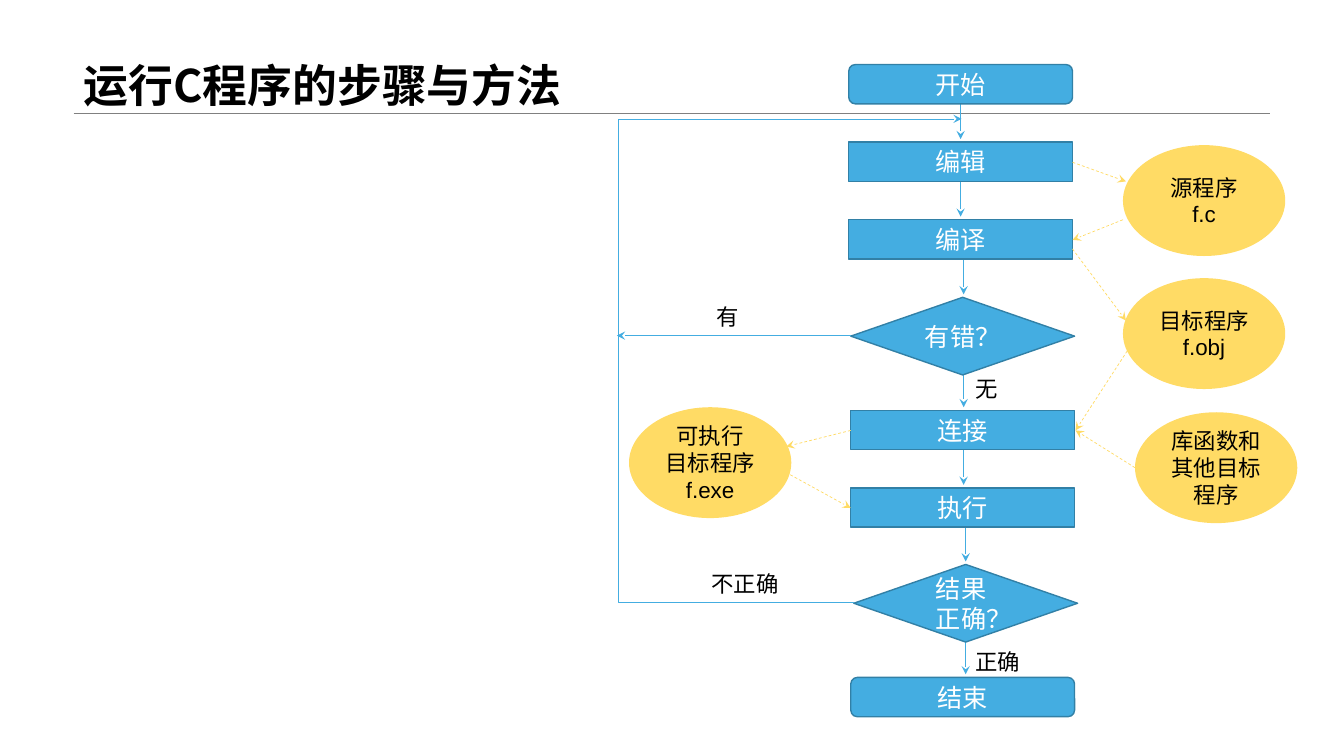
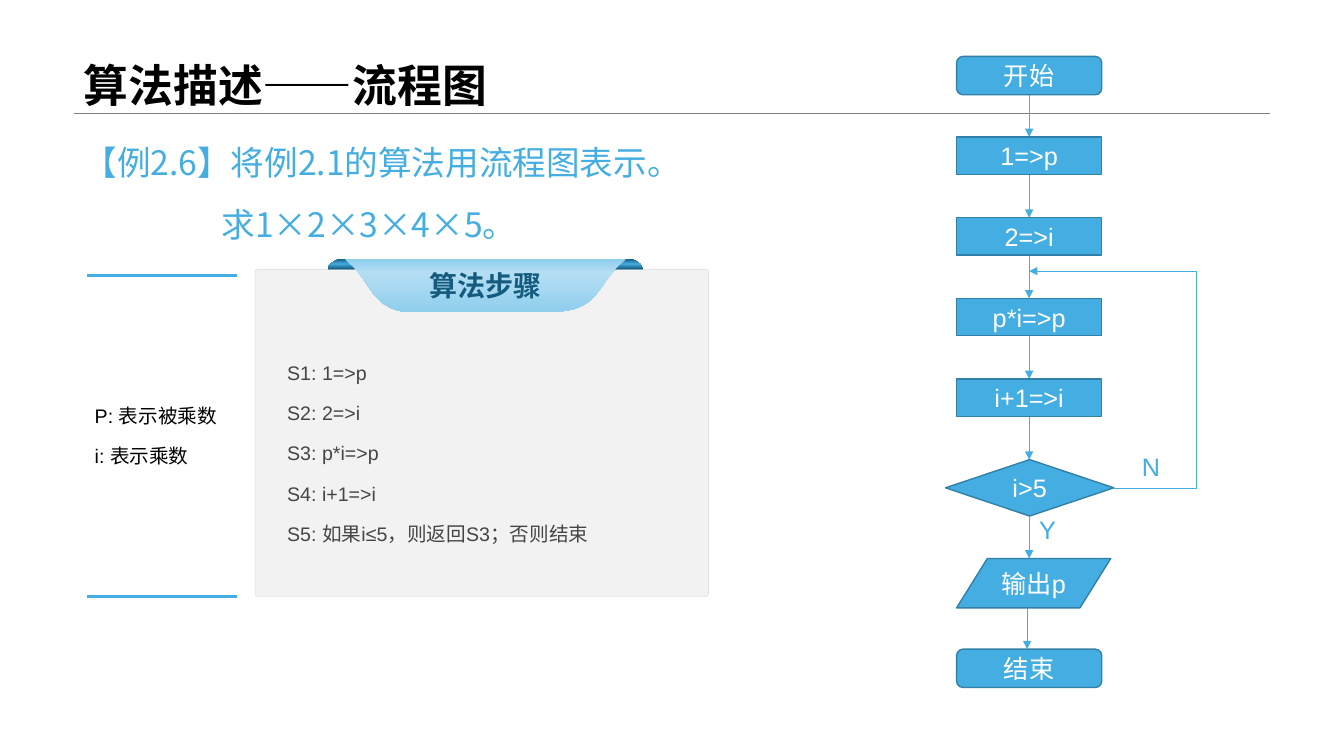
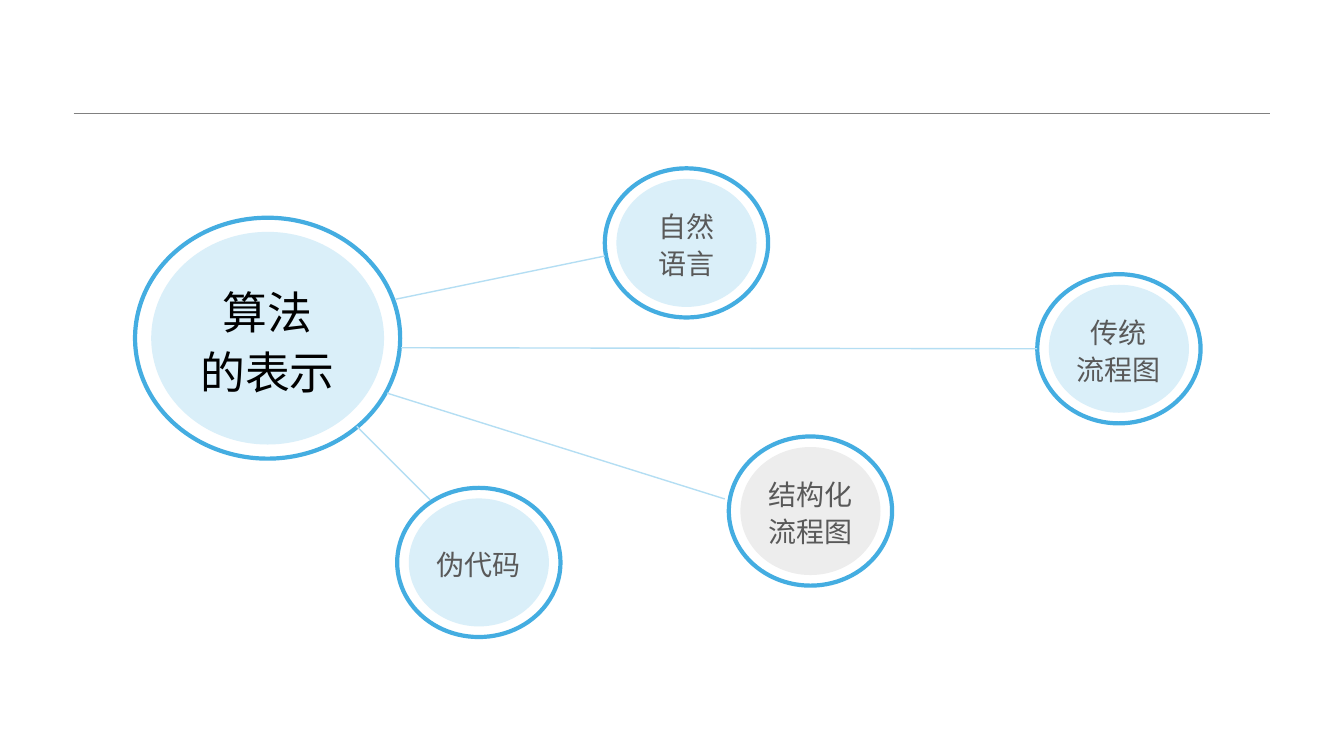
import copy
import dataclasses
import typing

import pptx
import pptx.dml.color
import pptx.enum.dml
import pptx.enum.lang
import pptx.enum.shapes
import pptx.enum.text
import pptx.oxml.ns
import pptx.oxml.xmlchemy
import pptx.util

SHAPE = pptx.enum.shapes.MSO_SHAPE
ALIGN = pptx.enum.text.PP_ALIGN
ANCHOR = pptx.enum.text.MSO_ANCHOR
Point = tuple[float, float]
Box = tuple[float, float, float, float]
CELL = 0.1
COLS, ROWS = 133.33, 75


@dataclasses.dataclass(frozen=True)
class Theme:
    cjk: str = "Noto Sans CJK SC"
    latin: str = "Arial"
    blue: str = "44ADE1"
    edge: str = "3280A6"
    navy: str = "145B7E"
    sky: str = "8FCEED"
    pale: str = "B4DEF3"
    ice: str = "DAEFF9"
    yellow: str = "FFDB65"
    black: str = "000000"
    white: str = "FFFFFF"
    rule: str = "808080"
    card: str = "F2F2F2"
    card_edge: str = "D5D5D5"
    silver: str = "EDEDED"
    card_text: str = "454545"
    bubble_text: str = "595959"
    title: float = 32
    lead: float = 24
    heading: float = 20
    node: float = 18
    label: float = 16
    note: float = 14


T = Theme()


class Node(typing.NamedTuple):
    kind: typing.Any
    box: Box
    text: str
    stem: float = 0


class Label(typing.NamedTuple):
    box: Box
    text: str


class Wire(typing.NamedTuple):
    start: Point
    end: Point


class Bubble(typing.NamedTuple):
    left: float
    top: float
    text: str
    fill: str = T.ice


def grid(n: float) -> int:
    return pptx.util.Inches(n * CELL)


def cells(values: typing.Iterable[float]) -> list[int]:
    return [grid(v) for v in values]


def rgb(color: str):
    return pptx.dml.color.RGBColor.from_string(color)


def write(tf, text: str, *, size: float, color: str, font: str = T.latin,
          bold: bool = False, align=ALIGN.CENTER, anchor=ANCHOR.MIDDLE,
          inset: Box = (1, 0.5, 1, 0.5), leading: float = 0,
          before: float = 0, indents: typing.Sequence[float] = ()) -> None:
    tf.word_wrap = True
    tf.auto_size = pptx.enum.text.MSO_AUTO_SIZE.NONE
    tf.vertical_anchor = anchor
    tf.margin_left, tf.margin_top, tf.margin_right, tf.margin_bottom = cells(inset)
    for i, line in enumerate(text.split("\n")):
        p = tf.paragraphs[0] if i == 0 else tf.add_paragraph()
        p.alignment = align
        if leading:
            p.line_spacing = pptx.util.Pt(size * leading)
        if i and before:
            p.space_before = pptx.util.Pt(before)
        if indents:
            p._p.get_or_add_pPr().set("marL", str(grid(indents[i])))
        r = p.add_run()
        r.text = line
        r.font.size = pptx.util.Pt(size)
        r.font.name = font
        r.font.bold = bold
        r.font.color.rgb = rgb(color)
        r.font.language_id = pptx.enum.lang.MSO_LANGUAGE_ID.SIMPLIFIED_CHINESE
        ea = pptx.oxml.xmlchemy.OxmlElement("a:ea")
        ea.set("typeface", T.cjk)
        r.font._element.find(pptx.oxml.ns.qn("a:latin")).addnext(ea)


def stroke(line, color: str, width: float, head: str = "", dashed: bool = False) -> None:
    line.color.rgb = rgb(color)
    line.width = pptx.util.Pt(width)
    if dashed:
        line.dash_style = pptx.enum.dml.MSO_LINE.DASH
    if head:
        end = pptx.oxml.xmlchemy.OxmlElement("a:tailEnd")
        end.set("type", head)
        line._get_or_add_ln().append(end)


def add_line(s, start: Point, end: Point, color: str = T.blue, width: float = 0.5,
             head: str = "", dashed: bool = False):
    c = s.shapes.add_connector(pptx.enum.shapes.MSO_CONNECTOR.STRAIGHT,
                               *cells(start + end))
    stroke(c.line, color, width, head, dashed)
    c._element.spPr.append(pptx.oxml.xmlchemy.OxmlElement("a:effectLst"))
    return c


def add_shape(s, kind, box: Box, fill: str = "", line: str = "", width: float = 1):
    sp = s.shapes.add_shape(kind, *cells(box))
    sp.shadow.inherit = False
    if fill:
        sp.fill.solid()
        sp.fill.fore_color.rgb = rgb(fill)
    else:
        sp.fill.background()
    if line:
        stroke(sp.line, line, width)
    else:
        sp.line.fill.background()
    return sp


def add_text(s, box: Box, text: str, **fmt) -> None:
    write(s.shapes.add_textbox(*cells(box)).text_frame, text, **fmt)


def add_outline(s, points: list[Point], close: bool):
    pts = [tuple(cells(pt)) for pt in points]
    fb = s.shapes.build_freeform(*pts[0])
    fb.add_line_segments(pts[1:], close=close)
    sp = fb.convert_to_shape()
    sp.shadow.inherit = False
    return sp


def add_route(s, points: list[Point], head: str) -> None:
    sp = add_outline(s, points, False)
    sp.fill.background()
    stroke(sp.line, T.blue, 0.5, head)


def add_gradient(s, points: list[Point], colors: list[str], middle: float):
    sp = add_outline(s, points, True)
    sp.line.fill.background()
    sp.fill.gradient()
    sp.fill.gradient_angle = 270
    stops = sp._element.spPr.find(".//" + pptx.oxml.ns.qn("a:gsLst"))
    stops.append(copy.deepcopy(stops[-1]))
    for stop, color, position in zip(sp.fill.gradient_stops, colors, (0, middle, 1)):
        stop.color.rgb = rgb(color)
        stop.position = position
    return sp


def curve(a: Point, b: Point, c: Point, d: Point, steps: int = 16) -> list[Point]:
    result = []
    for i in range(steps + 1):
        t = i / steps
        u = 1 - t
        weights = (u ** 3, 3 * u * u * t, 3 * u * t * t, t ** 3)
        result.append(tuple(sum(w * pt[k] for w, pt in zip(weights, (a, b, c, d)))
                            for k in (0, 1)))
    return result


def add_flow(s, nodes: list[Node], head: str, gap: float) -> None:
    for node, after in zip(nodes, nodes[1:]):
        add_line(s, (node.stem, node.box[1] + node.box[3]),
                 (node.stem, after.box[1] - gap), head=head)
    for node in nodes:
        sp = add_shape(s, node.kind, node.box, T.blue, T.edge)
        fmt: dict[str, typing.Any] = {}
        if "\n" in node.text:
            fmt = dict(align=ALIGN.LEFT, inset=(2.6, 0, 0, 0), leading=1.2)
        elif node.kind == SHAPE.FLOWCHART_DECISION:
            fmt = dict(inset=(0, 0, 0, 0))
        write(sp.text_frame, node.text, size=T.node, color=T.white, **fmt)


def add_labels(s, labels: list[Label], size: float, color: str) -> None:
    for label in labels:
        add_text(s, label.box, label.text, size=size, color=color,
                 align=ALIGN.LEFT, anchor=ANCHOR.TOP)


def titled_slide(prs, text: str):
    s = prs.slides.add_slide(prs.slide_layouts[5])
    sp = s.shapes.title
    sp.left, sp.top, sp.width, sp.height = cells((7.3, 0, 118.7, 11.6))
    write(sp.text_frame, text, size=T.title, color=T.black, font=T.cjk, bold=True,
          align=ALIGN.LEFT, anchor=ANCHOR.BOTTOM)
    return s


def run_steps_slide(prs):
    s = titled_slide(prs, "运行C程序的步骤与方法")
    w, h, tall = 22.2, 3.9, 7.7
    terminal, box, choice = (SHAPE.FLOWCHART_ALTERNATE_PROCESS, SHAPE.RECTANGLE,
                             SHAPE.FLOWCHART_DECISION)
    add_flow(s, [
        Node(terminal, (84.2, 6.4, w, h), "开始", 95.3),
        Node(box, (84.2, 14.1, w, h), "编辑", 95.3),
        Node(box, (84.2, 21.8, w, h), "编译", 95.6),
        Node(choice, (84.4, 29.5, w, tall), "有错？", 95.6),
        Node(box, (84.4, 40.7, w, h), "连接", 95.6),
        Node(box, (84.4, 48.4, w, h), "执行", 95.8),
        Node(choice, (84.7, 56, w, tall), "结果\n正确？", 95.8),
        Node(terminal, (84.4, 67.2, w, h), "结束"),
    ], "stealth", 0.3)
    add_route(s, [(84.7, 59.8), (61.3, 59.8), (61.3, 11.8), (95.4, 11.8)], "stealth")
    add_line(s, (84.4, 33.3), (61.2, 33.3), head="stealth")
    add_labels(s, [
        Label((95.8, 36.7, 5.8, 3.7), "无"),
        Label((95.8, 63.8, 7.4, 3.7), "正确"),
        Label((70.1, 29.6, 5.8, 3.7), "有"),
        Label((69.6, 56.1, 12.8, 3.7), "不正确"),
    ], T.label, T.black)
    for left, top, text in [
        (62.4, 40.4, "可执行\n目标程序\nf.exe"),
        (111.4, 14.4, "源程序\nf.c"),
        (111.4, 27.6, "目标程序\nf.obj"),
        (112.6, 40.9, "库函数和其他目标程序"),
    ]:
        sp = add_shape(s, SHAPE.OVAL, (left, top, 16.1, 11), T.yellow)
        write(sp.text_frame, text, size=T.label, color=T.black, leading=1.2)
    for wire in [
        Wire((106.4, 16.1), (111.7, 18)),
        Wire((78.4, 47.1), (84.4, 50.4)),
        Wire((84.4, 42.7), (78, 44.3)),
        Wire((111.4, 21.8), (106.4, 23.8)),
        Wire((106.4, 24.7), (111.7, 31.8)),
        Wire((112.1, 34.4), (106.7, 42.7)),
        Wire((112.6, 46.4), (106.7, 42.7)),
    ]:
        add_line(s, wire.start, wire.end, T.yellow, head="stealth", dashed=True)
    return s


def add_ribbon(s) -> None:
    for left, right in ((32.5, 35.8), (60.7, 63.8)):
        points = [(left + 1.1, 25.7)]
        points += curve((right - 1.1, 25.7), (right - 0.6, 25.9),
                        (right - 0.2, 26.2), (right, 26.6))
        points += [(right, 26.7), (left, 26.7)]
        points += curve((left, 26.6), (left + 0.2, 26.2),
                        (left + 0.6, 25.9), (left + 1.1, 25.7))
        add_gradient(s, points, [T.navy, T.blue, T.navy], 0.49)
    points = [(34.2, 25.7), (62.1, 25.7)]
    points += curve((61.3, 26.4), (59.4, 28.3), (59.1, 30.9), (55.1, 30.9))
    points += curve((41.1, 31), (37.1, 31), (36.8, 28.2), (35, 26.4))
    sp = add_gradient(s, points, [T.sky, T.pale, T.sky], 0.26)
    write(sp.text_frame, "算法步骤", size=T.heading, color=T.navy, font=T.cjk, bold=True)


def flowchart_slide(prs) -> None:
    s = titled_slide(prs, "算法描述——流程图")
    add_text(s, (7.3, 12.8, 90.9, 12), "【例2.6】将例2.1的算法用流程图表示。\n求1×2×3×4×5。",
             size=T.lead, color=T.blue, font=T.cjk, align=ALIGN.LEFT,
             anchor=ANCHOR.TOP, leading=1.44, before=10, indents=(0, 13.7))
    card = add_shape(s, SHAPE.ROUNDED_RECTANGLE, (25.3, 26.7, 45, 32.5),
                     T.card, T.card_edge, 0.25)
    card.adjustments[0] = 0.01
    write(card.text_frame,
          "S1: 1=>p\nS2: 2=>i\nS3: p*i=>p\nS4: i+1=>i\nS5: 如果i≤5，则返回S3；否则结束",
          size=T.note, color=T.card_text, align=ALIGN.JUSTIFY,
          inset=(3.1, 7.9, 3.1, 3.9), leading=1.2, before=12)
    add_ribbon(s)
    left, top, h, pitch, axis = 94.9, 13.6, 3.7, 8, 102.1
    terminal = SHAPE.FLOWCHART_ALTERNATE_PROCESS
    steps = [Node(SHAPE.FLOWCHART_PROCESS, (left, top + i * pitch, 14.4, h), text, axis)
             for i, text in enumerate(["1=>p", "2=>i", "p*i=>p", "i+1=>i"])]
    add_flow(s, [
        Node(terminal, (left, 5.6, 14.4, 3.8), "开始", axis),
        *steps,
        Node(SHAPE.FLOWCHART_DECISION, (93.8, 45.6, 16.7, 5.6), "i>5", axis),
        Node(SHAPE.FLOWCHART_DATA, (left, 55.4, 15.3, 4.9), "输出p", 101.9),
        Node(terminal, (left, 64.4, 14.4, 3.8), "结束"),
    ], "triangle", 0)
    add_labels(s, [Label((102.1, 50.5, 5.4, 4.5), "Y"),
                   Label((112.3, 44.3, 5.4, 4.5), "N")], T.node, T.blue)
    add_route(s, [(110.5, 48.4), (118.7, 48.4), (118.7, 26.9), (axis, 26.9)], "triangle")
    for y in (27.3, 59.2):
        add_line(s, (8.6, y), (23.5, y), width=2)
    add_text(s, (8.6, 27.3, 14.9, 31.9), "P: 表示被乘数\ni: 表示乘数", size=T.note,
             color=T.black, align=ALIGN.JUSTIFY, inset=(0.8, 0.8, 0.8, 0.8),
             leading=1.2, before=12)


def add_bubble(s, bubble: Bubble, ring: Point, disc: Point, **fmt) -> None:
    dx, dy = ((ring[k] - disc[k]) / 2 for k in (0, 1))
    sp = add_shape(s, SHAPE.OVAL, (bubble.left + dx, bubble.top + dy) + disc, bubble.fill)
    write(sp.text_frame, bubble.text, inset=(0, 0, 0, 0), leading=1.34, **fmt)
    add_shape(s, SHAPE.OVAL, (bubble.left, bubble.top) + ring, line=T.blue, width=3)


def notation_slide(prs) -> None:
    s = prs.slides.add_slide(prs.slide_layouts[6])
    add_bubble(s, Bubble(13.4, 21.6, "算法\n的表示"), (26.3, 23.9), (23.1, 21.1),
               size=T.title, color=T.black, font=T.cjk)
    for bubble in [
        Bubble(39.4, 48.4, "伪代码"),
        Bubble(72.3, 43.3, "结构化\n流程图", T.silver),
        Bubble(102.9, 27.2, "传统\n流程图"),
        Bubble(60, 16.7, "自然\n语言"),
    ]:
        add_bubble(s, bubble, (16.2, 14.8), (13.9, 12.7),
                   size=T.heading, color=T.bubble_text)
    for wire in [
        Wire((35.4, 42.3), (42.7, 49.6)),
        Wire((39.2, 29.7), (60, 25.4)),
        Wire((38.4, 39), (71.9, 49.5)),
        Wire((39.8, 34.5), (102.9, 34.6)),
    ]:
        add_line(s, wire.start, wire.end, T.pale, 1)


def main() -> None:
    prs = pptx.Presentation()
    prs.slide_width, prs.slide_height = cells((COLS, ROWS))
    s = run_steps_slide(prs)
    rule = add_line(s, (7.3, 11.2), (126, 11.2), T.rule, 0.25)
    prs.slide_master.shapes.element.append(rule._element)
    flowchart_slide(prs)
    notation_slide(prs)
    prs.save("out.pptx")


if __name__ == "__main__":
    main()
